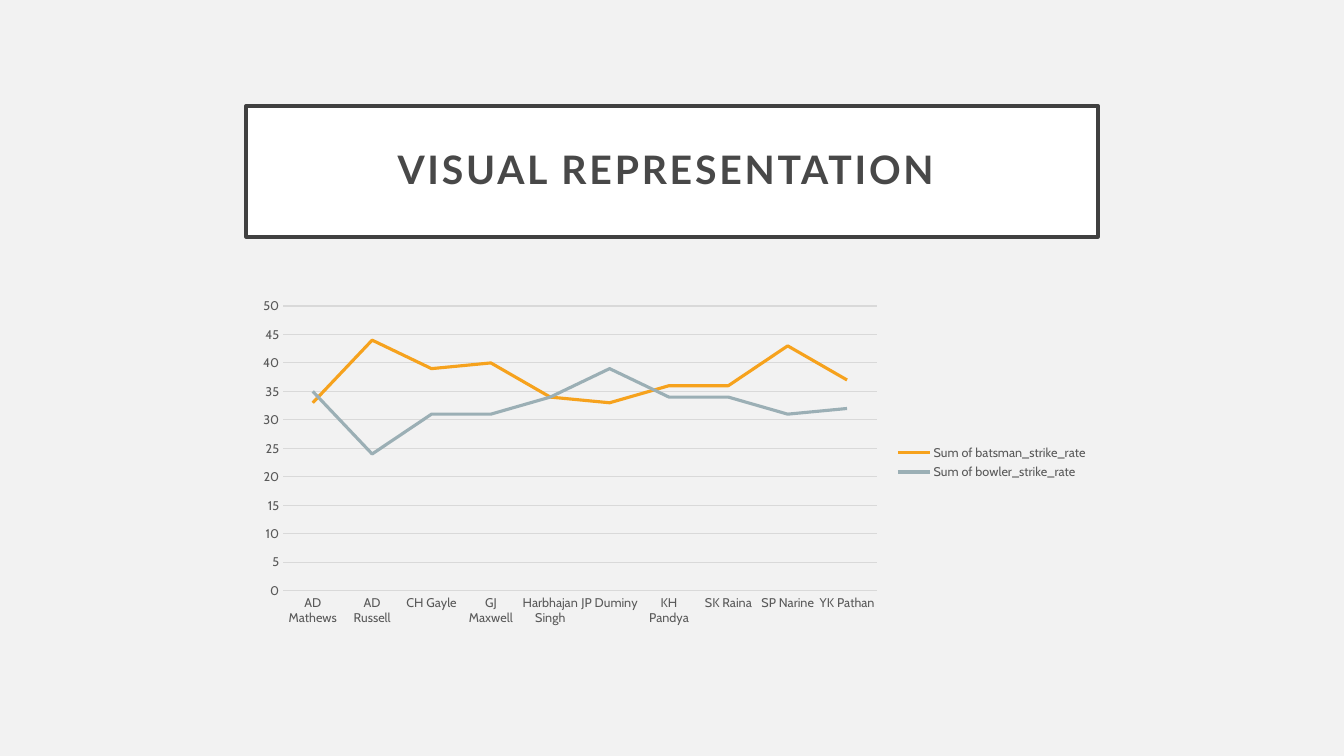
from pptx import Presentation
from pptx.chart.data import CategoryChartData
from pptx.dml.color import RGBColor
from pptx.enum.chart import XL_CHART_TYPE as ChartType, XL_LEGEND_POSITION as LegendPos, XL_TICK_MARK as Tick
from pptx.enum.shapes import MSO_SHAPE as Shape
from pptx.enum.text import MSO_ANCHOR as Anchor, PP_ALIGN as Align
from pptx.util import Inches, Pt

# Content
TITLE = "VISUAL REPRESENTATION "
PLAYERS = ["AD Mathews", "AD Russell", "CH Gayle", "GJ Maxwell", "Harbhajan Singh",
           "JP Duminy", "KH Pandya", "SK Raina", "SP Narine", "YK Pathan"]
STRIKE_RATES = [
    ("Sum of batsman_strike_rate", "F6A21D", [33, 44, 39, 40, 34, 33, 36, 36, 43, 37]),
    ("Sum of bowler_strike_rate", "9BAFB5", [35, 24, 31, 31, 34, 39, 34, 34, 31, 32]),
]

# Format
LEFT, WIDTH = 2.44, 8.45
TITLE_TOP, TITLE_HEIGHT = 1.05, 1.3
CHART_TOP, CHART_HEIGHT = 2.89, 3.39
TITLE_FONT = {"name": "Lato", "size": Pt(28), "bold": True}
CHART_FONT = {"name": "Cabin", "size": Pt(9), "bold": False}
TITLE_FRAME = {"word_wrap": True, "vertical_anchor": Anchor.MIDDLE,
               **{f"margin_{side}": Inches(0.2) for side in ("left", "top", "right", "bottom")}}
AXIS = {"major_tick_mark": Tick.NONE, "minor_tick_mark": Tick.NONE}
VALUE_SCALE = {"minimum_scale": 0, "maximum_scale": 50, "major_unit": 5}
LEGEND = {"position": LegendPos.RIGHT, "include_in_layout": False}


def apply(target, values):
    for name, value in values.items():
        setattr(target, name, value)


def paint(fill, color):
    fill.solid()
    fill.fore_color.rgb = RGBColor.from_string(color)


def stroke(line, color, width):
    paint(line.fill, color)
    line.width = Pt(width)


def set_font(font, values, color):
    apply(font, values)
    paint(font.fill, color)


def add_title(slide):
    banner = slide.shapes.add_shape(Shape.RECTANGLE, Inches(LEFT), Inches(TITLE_TOP),
                                    Inches(WIDTH), Inches(TITLE_HEIGHT))
    banner.shadow.inherit = False
    paint(banner.fill, "FFFFFF")
    stroke(banner.line, "404040", 2.5)
    apply(banner.text_frame, TITLE_FRAME)
    heading = banner.text_frame.paragraphs[0]
    apply(heading, {"alignment": Align.CENTER, "line_spacing": 0.9})
    words = heading.add_run()
    words.text = TITLE
    set_font(words.font, TITLE_FONT, "484848")
    words.font._element.set("spc", "200")  # letter spacing, 2 pt


def add_strike_rates(slide):
    rates = CategoryChartData()
    rates.categories = PLAYERS
    for name, _, values in STRIKE_RATES:
        rates.add_series(name, values)
    chart = slide.shapes.add_chart(ChartType.LINE, Inches(LEFT), Inches(CHART_TOP),
                                   Inches(WIDTH), Inches(CHART_HEIGHT), rates).chart
    chart.has_title = False
    set_font(chart.font, CHART_FONT, "595959")

    # Lines
    chart.plots[0].vary_by_categories = False
    for series, (_, color, _) in zip(chart.plots[0].series, STRIKE_RATES):
        series.smooth = False
        stroke(series.format.line, color, 2.25)

    # Axes and gridlines
    players, scale = chart.category_axis, chart.value_axis
    for axis in (players, scale):
        apply(axis, AXIS)
        set_font(axis.tick_labels.font, CHART_FONT, "595959")
    apply(scale, VALUE_SCALE)
    scale.format.line.fill.background()
    for line in (players.format.line, scale.major_gridlines.format.line):
        stroke(line, "D9D9D9", 0.75)

    # Legend
    chart.has_legend = True
    apply(chart.legend, LEGEND)
    set_font(chart.legend.font, CHART_FONT, "595959")


def main():
    deck = Presentation()
    apply(deck, {"slide_width": Inches(13.33), "slide_height": Inches(7.5)})
    slide = deck.slides.add_slide(deck.slide_layouts[6])
    paint(slide.background.fill, "F2F2F2")
    add_title(slide)
    add_strike_rates(slide)
    deck.save("out.pptx")


if __name__ == "__main__":
    main()
